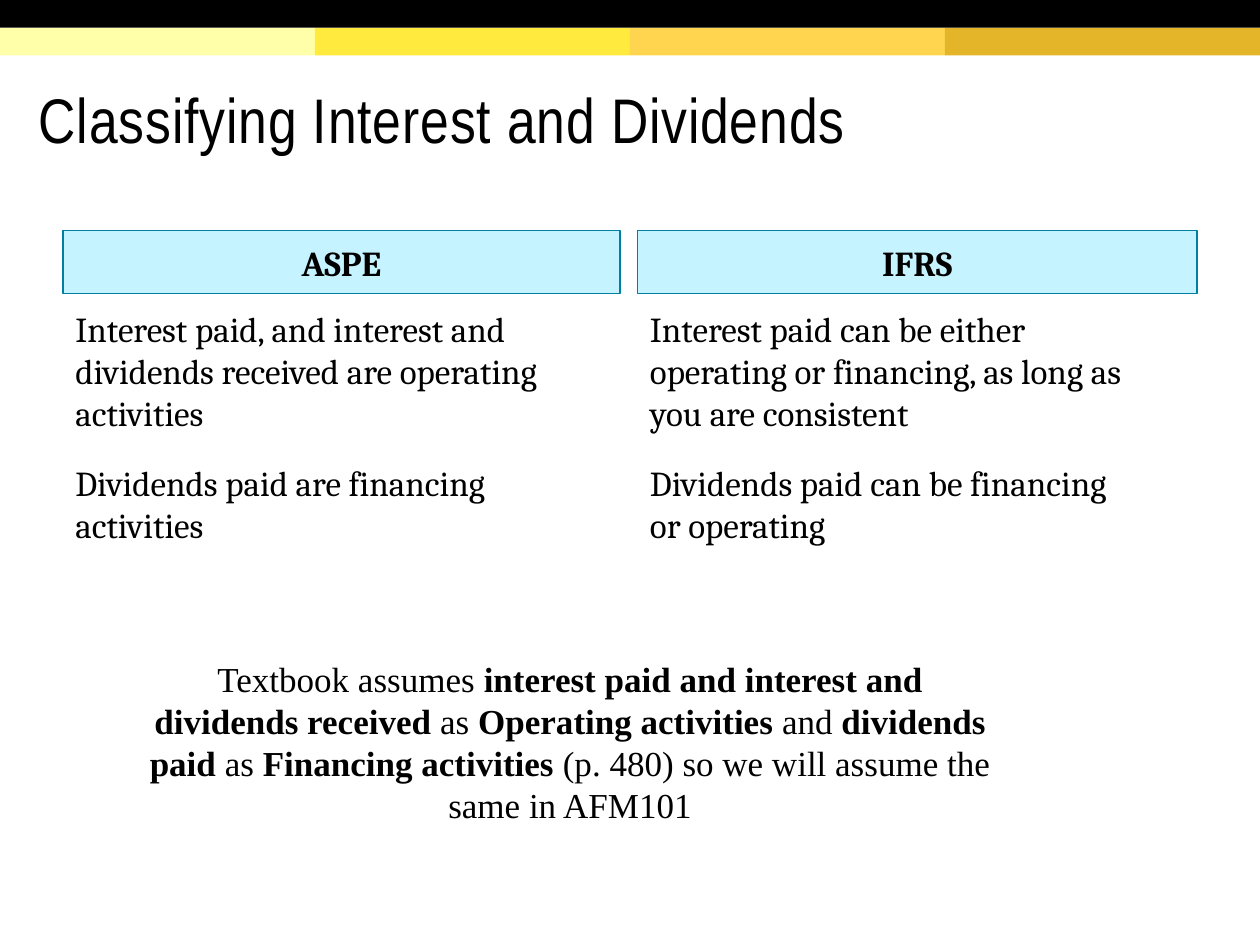
"""Build the slide on classifying interest and dividends under ASPE and IFRS."""
from pptx import Presentation
from pptx.dml.color import RGBColor
from pptx.enum.shapes import MSO_SHAPE
from pptx.enum.text import MSO_ANCHOR, PP_ALIGN
from pptx.util import Inches, Pt

BLACK = RGBColor(0x00, 0x00, 0x00)
HEADER_FILL = RGBColor(0xC5, 0xF3, 0xFF)
HEADER_LINE = RGBColor(0x00, 0x7F, 0xA3)
BAND_COLORS = [
    RGBColor(0xFF, 0xFF, 0xAA),
    RGBColor(0xFF, 0xEA, 0x3D),
    RGBColor(0xFF, 0xD5, 0x4F),
    RGBColor(0xE4, 0xB4, 0x29),
]
SLIDE_WIDTH, SLIDE_HEIGHT, BAND_HEIGHT = 10, 7.5, 0.22

TITLE = "Classifying Interest and Dividends"
COLUMNS = [
    {
        "heading": "ASPE", "left": 0.5, "heading_width": 4.42, "text_width": 4.23,
        "points": [
            "Interest paid, and interest and dividends received are operating activities",
            "Dividends paid are financing activities",
        ],
    },
    {
        "heading": "IFRS", "left": 5.06, "heading_width": 4.44, "text_width": 4.09,
        "points": [
            "Interest paid can be either operating or financing, as long as you are consistent",
            "Dividends paid can be financing or operating",
        ],
    },
]
NOTE = [
    ("Textbook assumes ", False),
    ("interest paid and interest and dividends received", True),
    (" as ", False),
    ("Operating activities ", True),
    ("and ", False),
    ("dividends paid ", True),
    ("as ", False),
    ("Financing activities ", True),
    ("(p. 480) so we will assume the same in AFM101", False),
]


def add_rectangle(slide, left, top, width, height, fill, line=None):
    box = slide.shapes.add_shape(
        MSO_SHAPE.RECTANGLE, Inches(left), Inches(top), Inches(width), Inches(height))
    box.shadow.inherit = False
    box.fill.solid()
    box.fill.fore_color.rgb = fill
    if line is None:
        box.line.fill.background()
    else:
        box.line.color.rgb = line
        box.line.width = Pt(0.75)
    return box


def add_text_box(slide, left, top, width, height):
    box = slide.shapes.add_textbox(Inches(left), Inches(top), Inches(width), Inches(height))
    box.text_frame.word_wrap = True
    return box.text_frame


def style_span(span, font_name, size=20, bold=False):
    span.font.name = font_name
    span.font.size = Pt(size)
    span.font.bold = bold
    span.font.color.rgb = BLACK


def add_title(slide):
    frame = add_text_box(slide, 0.21, 0.47, 9.49, 0.98)
    frame.vertical_anchor = MSO_ANCHOR.MIDDLE
    frame.margin_top = Inches(0.1)
    frame.text = TITLE
    para = frame.paragraphs[0]
    para.line_spacing = 0.85
    span = para.runs[0]
    style_span(span, "Arial Narrow", 36)
    span.font._element.set("spc", "50")


def add_column(slide, column):
    header = add_rectangle(
        slide, column["left"], 1.83, column["heading_width"], 0.5, HEADER_FILL, HEADER_LINE)
    frame = header.text_frame
    frame.vertical_anchor = MSO_ANCHOR.MIDDLE
    frame.text = column["heading"]
    frame.paragraphs[0].alignment = PP_ALIGN.CENTER
    style_span(frame.paragraphs[0].runs[0], "Cambria", bold=True)

    frame = add_text_box(slide, column["left"], 2.39, column["text_width"], 2.25)
    frame.text = "\n".join(column["points"])
    for index, para in enumerate(frame.paragraphs):
        para.space_before = Pt(8 if index else 0)
        para.space_after = Pt(8)
        style_span(para.runs[0], "Cambria")


def add_note(slide):
    para = add_text_box(slide, 1.06, 5.17, 6.93, 1.45).paragraphs[0]
    para.alignment = PP_ALIGN.CENTER
    for text, bold in NOTE:
        span = para.add_run()
        span.text = text
        style_span(span, "Times New Roman", bold=bold)


def main():
    deck = Presentation()
    deck.slide_width, deck.slide_height = Inches(SLIDE_WIDTH), Inches(SLIDE_HEIGHT)
    slide = deck.slides.add_slide(deck.slide_layouts[6])
    band_width = SLIDE_WIDTH / len(BAND_COLORS)
    for index, color in enumerate(BAND_COLORS):
        add_rectangle(slide, index * band_width, BAND_HEIGHT, band_width, BAND_HEIGHT, color)
    add_rectangle(slide, 0, 0, SLIDE_WIDTH, BAND_HEIGHT, BLACK)
    add_title(slide)
    for column in COLUMNS:
        add_column(slide, column)
    add_note(slide)
    deck.save("out.pptx")


if __name__ == "__main__":
    main()
